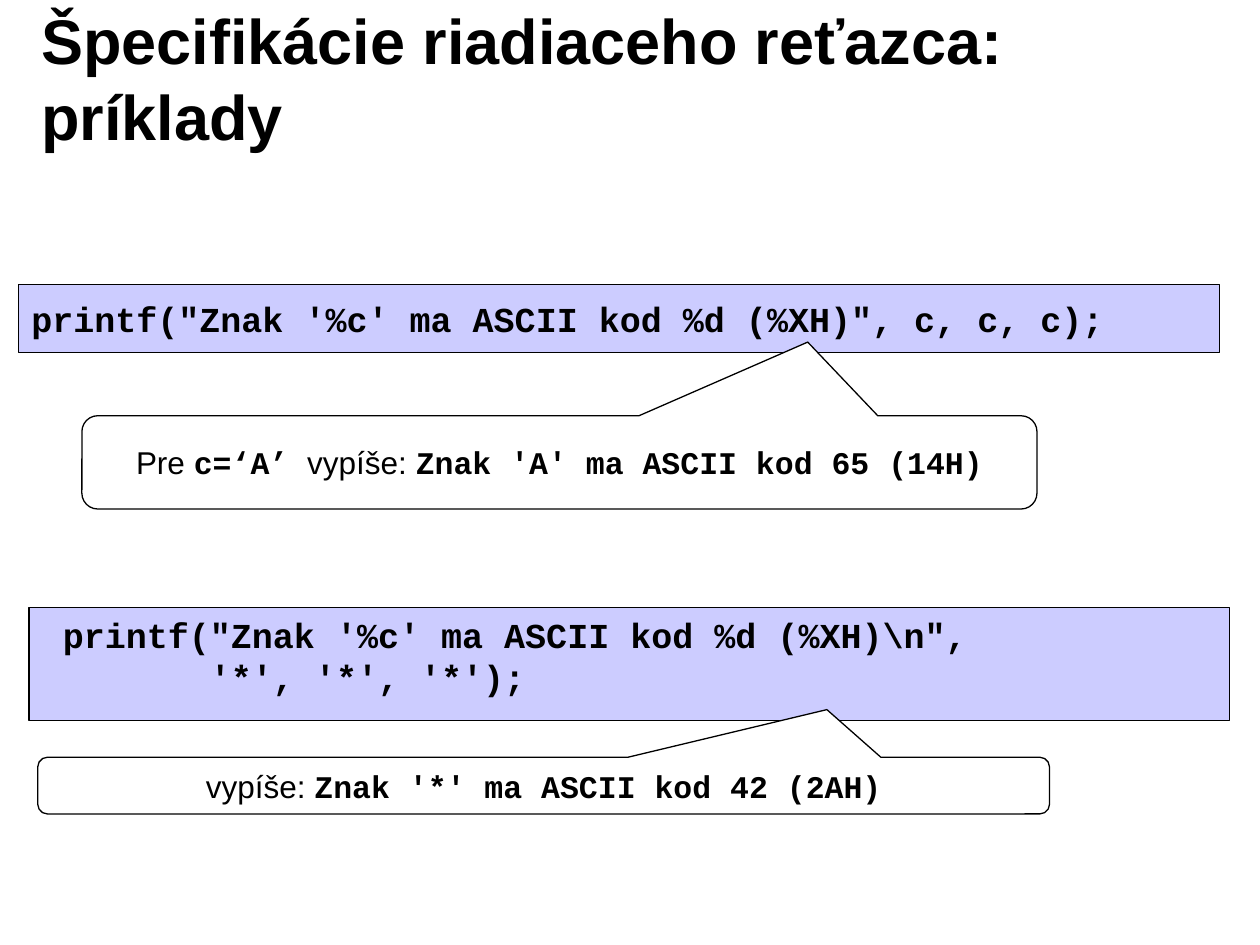
from pptx import Presentation
from pptx import util as u
from pptx.dml.color import RGBColor
from pptx.enum import shapes, text

deck = Presentation()
deck.slide_width, deck.slide_height = u.Inches(10), u.Inches(7.5)
slide = deck.slides.add_slide(deck.slide_layouts[6])
COL, ROW = deck.slide_width / 100, deck.slide_height / 75
SANS, MONO = "Arial", "Courier New"
INK, CODE, PAPER = "000000", "CCCCFF", "FFFFFF"


def write(shape, lines, size, bold=(MONO,), align="LEFT", anchor="TOP", inset=0.1):
    """Fill a shape with lines of (words, font) runs; fonts in bold are set bold."""
    frame = shape.text_frame
    frame.word_wrap = True
    frame.vertical_anchor = text.MSO_ANCHOR[anchor]
    frame.margin_left = frame.margin_right = u.Inches(inset)
    frame.margin_top = frame.margin_bottom = u.Inches(0.05)
    for num, line in enumerate(lines):
        para = frame.add_paragraph() if num else frame.paragraphs[0]
        para.alignment = text.PP_ALIGN[align]
        for words, face in line:
            run = para.add_run()
            run.text = words
            run.font.name, run.font.size = face, u.Pt(size)
            run.font.bold = face in bold
            run.font.color.rgb = RGBColor.from_string(INK)


def draw(home, kind, box, fill=None):
    """Add a preset shape, or a plain text box when kind is None."""
    left, top, wide, high = box
    place = [round(n) for n in (left * COL, top * ROW, wide * COL, high * ROW)]
    if kind is None:
        return home.add_textbox(*place)
    shape = home.add_shape(shapes.MSO_SHAPE[kind], *place)
    shape.shadow.inherit = False
    shape.fill.solid()
    shape.fill.fore_color.rgb = RGBColor.from_string(fill)
    shape.line.color.rgb = RGBColor.from_string(INK)
    shape.line.width = u.Pt(0.75)
    return shape


title = draw(slide.shapes, None, (2.3, 1.5, 80.3, 9.3))
write(title, [[("Špecifikácie riadiaceho reťazca: príklady", SANS)]], 36,
      bold=(SANS,), anchor="MIDDLE")

# bar, code box, code lines, callout box, callout tip, callout runs
demos = [
    ((1.5, 22.6, 95.3, 5.4), (1.5, 23.1, 97.3, 4.4),
     ["printf(\"Znak '%c' ma ASCII kod %d (%XH)\", c, c, c);"],
     (6.5, 33, 75.8, 7.4), (0.26, -1.29),
     [("Pre ", SANS), ("c=‘A’ ", MONO), ("vypíše: ", SANS),
      ("Znak 'A' ma ASCII kod 65 (14H)", MONO)]),
    ((2.3, 48.2, 95.3, 9), (4, 48.2, 92.6, 7.7),
     ["printf(\"Znak '%c' ma ASCII kod %d (%XH)\\n\",",
      "       '*', '*', '*');"],
     (3, 60.1, 80.3, 4.5), (0.28, -1.34),
     [("vypíše: ", SANS), ("Znak '*' ma ASCII kod 42 (2AH)", MONO)]),
]

for bar, area, code, bubble, tip, runs in demos:
    group = slide.shapes.add_group_shape()
    draw(group.shapes, "RECTANGLE", bar, CODE)
    write(draw(group.shapes, None, area), [[(line, MONO)] for line in code], 20)

    note = draw(slide.shapes, "ROUNDED_RECTANGULAR_CALLOUT", bubble, PAPER)
    note.adjustments[0], note.adjustments[1] = tip
    note.adjustments[2] = 0.17
    write(note, [runs], 18, align="CENTER", anchor="MIDDLE", inset=0.09)

deck.save("out.pptx")
